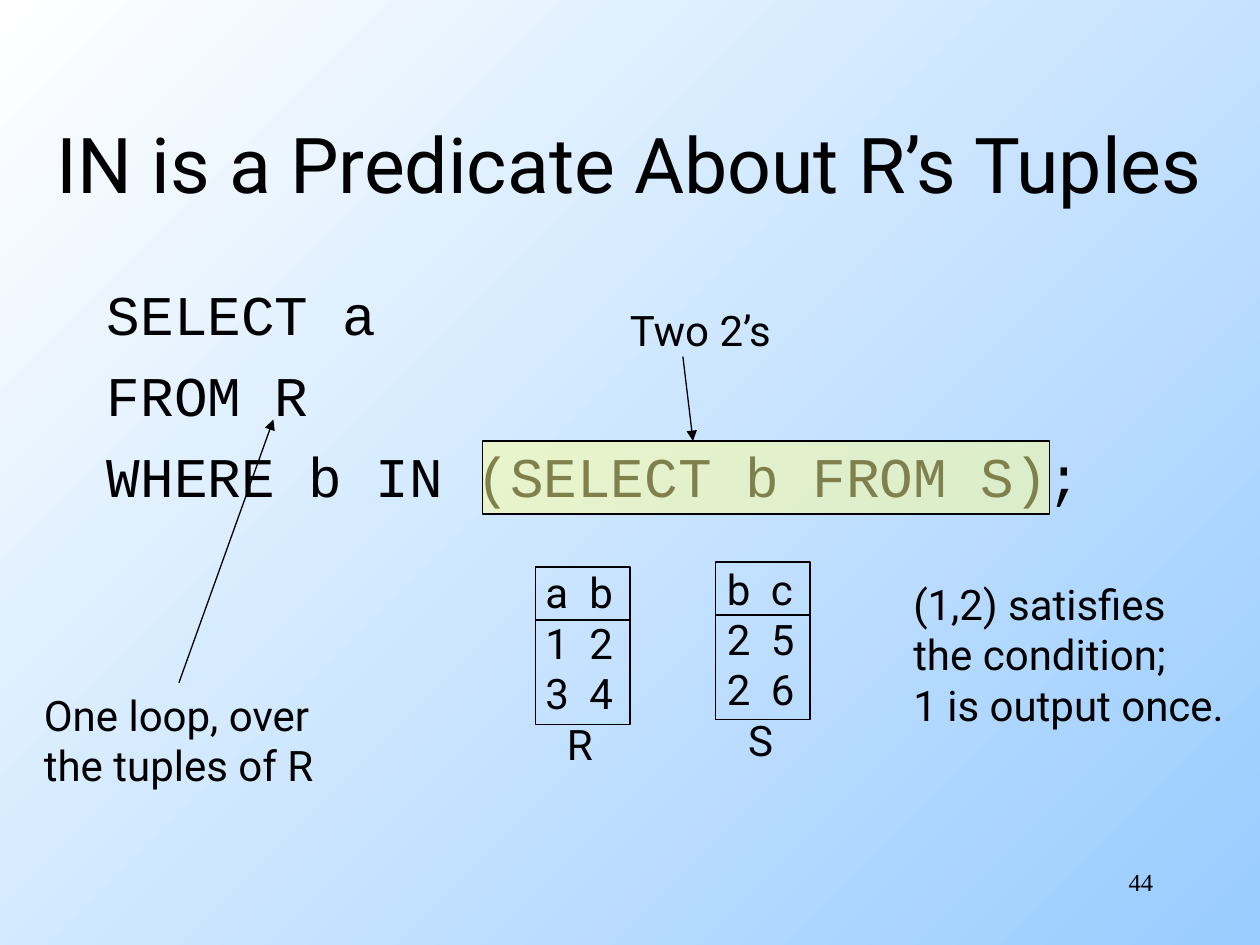
from lxml import etree
from pptx import Presentation
from pptx import util as u
from pptx.dml.color import RGBColor
from pptx.enum import shapes, text
from pptx.oxml.ns import qn

COLOURS = {"ink": "000000", "top": "FFFFFF", "bottom": "99CCFF", "highlight": "FFFF99"}
ALIGN = text.PP_ALIGN


def colour(name):
    return RGBColor.from_string(COLOURS[name])


def write(frame, lines, font="Roboto", size=24, align=ALIGN.LEFT, before=0):
    for number, line in enumerate(lines):
        paragraph = frame.paragraphs[0] if number == 0 else frame.add_paragraph()
        paragraph.alignment = align
        paragraph.space_before = u.Pt(before)
        run = paragraph.add_run()
        run.text = line
        run.font.name = font
        run.font.size = u.Pt(size)
        run.font.color.rgb = colour("ink")


class QuerySlide:
    line_width = u.Pt(0.75)

    def __init__(self, presentation):
        self.slide = presentation.slides.add_slide(presentation.slide_layouts[5])

    def background(self):
        fill = self.slide.background.fill
        fill.gradient()
        fill.gradient_angle = 315
        for stop, name in zip(fill.gradient_stops, ("top", "bottom")):
            stop.color.rgb = colour(name)

    def title(self, words, left, top, width, height):
        heading = self.slide.shapes.title
        heading.left, heading.top = u.Inches(left), u.Inches(top)
        heading.width, heading.height = u.Inches(width), u.Inches(height)
        heading.text_frame.auto_size = text.MSO_AUTO_SIZE.NONE
        heading.text_frame.vertical_anchor = text.MSO_ANCHOR.MIDDLE
        write(heading.text_frame, [words], size=44, align=ALIGN.CENTER)

    def label(self, lines, left, top, width, height, wrap=False, **style):
        box = self.slide.shapes.add_textbox(
            u.Inches(left), u.Inches(top), u.Inches(width), u.Inches(height))
        box.text_frame.word_wrap = wrap
        write(box.text_frame, lines, **style)
        return box.text_frame

    def frame(self, left, top, width, height, fill=None, alpha=50):
        box = self.slide.shapes.add_shape(
            shapes.MSO_SHAPE.RECTANGLE,
            u.Inches(left), u.Inches(top), u.Inches(width), u.Inches(height))
        box.shadow.inherit = False
        box.line.color.rgb = colour("ink")
        box.line.width = self.line_width
        if fill is None:
            box.fill.background()
            return
        box.fill.solid()
        box.fill.fore_color.rgb = colour(fill)
        rgb = box.fill._xPr.find(qn("a:solidFill")).find(qn("a:srgbClr"))
        etree.SubElement(rgb, qn("a:alpha"), val=str(alpha * 1000))

    def rule(self, start, end, arrow=False):
        ends = [u.Inches(value) for value in (*start, *end)]
        line = self.slide.shapes.add_connector(shapes.MSO_CONNECTOR.STRAIGHT, *ends)
        line.line.color.rgb = colour("ink")
        line.line.width = self.line_width
        if arrow:
            etree.SubElement(line.line._get_or_add_ln(), qn("a:tailEnd"), type="triangle")
        etree.SubElement(line._element.spPr, qn("a:effectLst"))

    def relation(self, name, rows, left, top, label_left, label_top):
        lines = ["\t".join(row) for row in rows] + [name]
        cells = self.label(lines, label_left, label_top, 0.77, 1.7, wrap=True)
        *tuples, caption = cells.paragraphs
        for paragraph in tuples:
            stops = etree.SubElement(paragraph._p.get_or_add_pPr(), qn("a:tabLst"))
            etree.SubElement(stops, qn("a:tab"), pos=str(u.Inches(0.35)), algn="l")
        caption._p.get_or_add_pPr().set("marL", str(u.Inches(0.17)))
        self.frame(left, top, 0.75, 1.25)
        self.rule((left, top + 0.42), (left + 0.75, top + 0.42))


def main():
    presentation = Presentation()
    presentation.slide_width, presentation.slide_height = u.Inches(10), u.Inches(7.5)
    page = QuerySlide(presentation)
    page.background()
    page.label(["44"], 7.17, 6.83, 2.08, 0.5, wrap=True,
               font="Times New Roman", size=14, align=ALIGN.RIGHT)
    page.title("IN is a Predicate About R’s Tuples", 0, 0.67, 10, 1.25)
    page.label(["SELECT a", "FROM R", "WHERE b IN (SELECT b FROM S);"],
               0.75, 2.17, 8.5, 4.5, wrap=True, font="Courier New", size=32, before=8)

    page.label(["One loop, over", "the tuples of R"], 0.25, 5.42, 2.37, 0.9)
    page.rule((1.42, 5.42), (2.17, 3.33), arrow=True)

    page.relation("R", ["ab", "12", "34"], 4.25, 4.5, 4.23, 4.45)
    page.relation("S", ["bc", "25", "26"], 5.68, 4.46, 5.67, 4.42)
    page.label(["(1,2) satisfies", "the condition;", "1 is output once."],
               7.15, 4.54, 2.68, 1.3)

    page.label(["Two 2’s"], 4.9, 2.37, 1.33, 0.5)
    page.frame(3.83, 3.5, 4.5, 0.58, fill="highlight")
    page.rule((5.42, 2.83), (5.5, 3.5), arrow=True)
    presentation.save("out.pptx")


if __name__ == "__main__":
    main()
